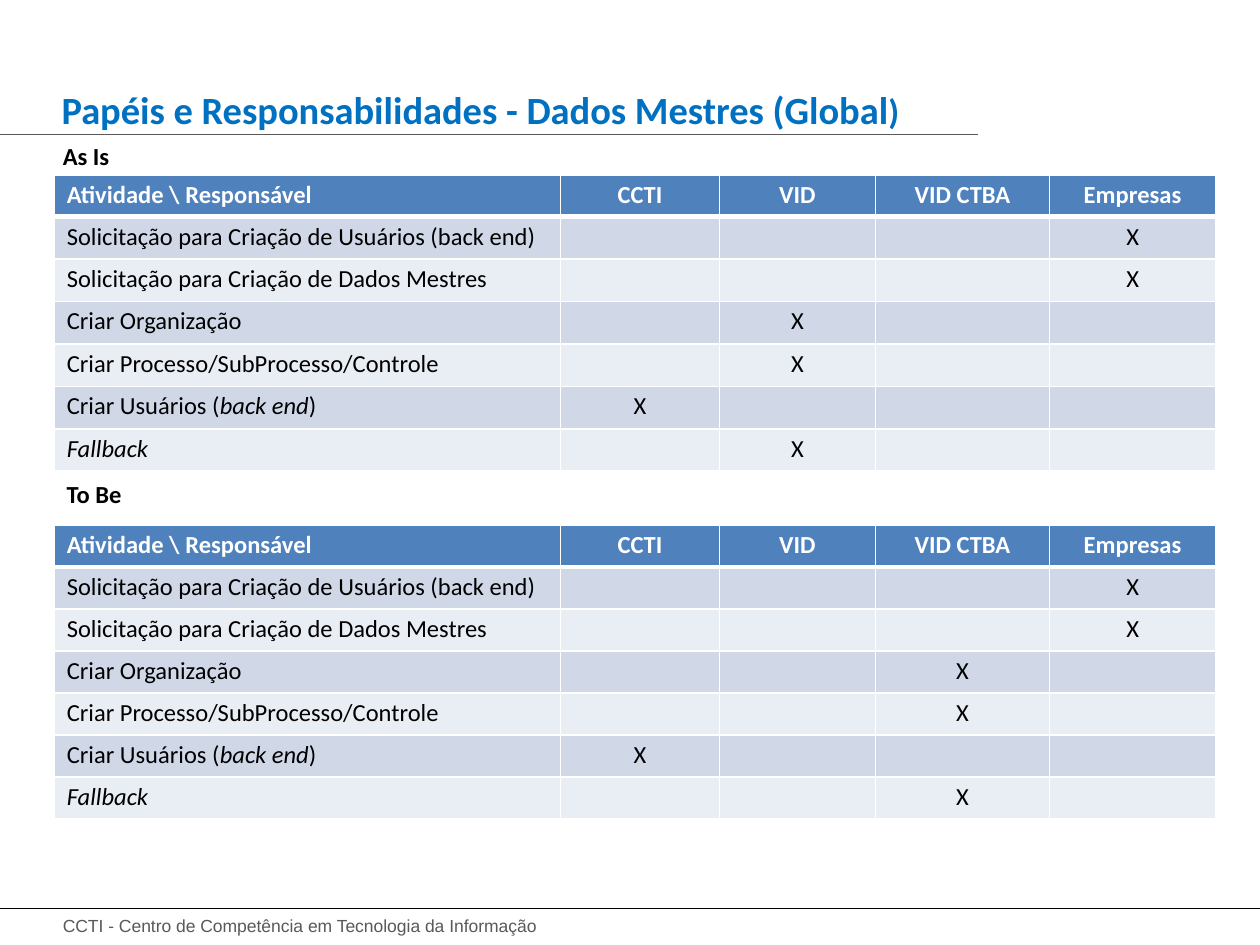
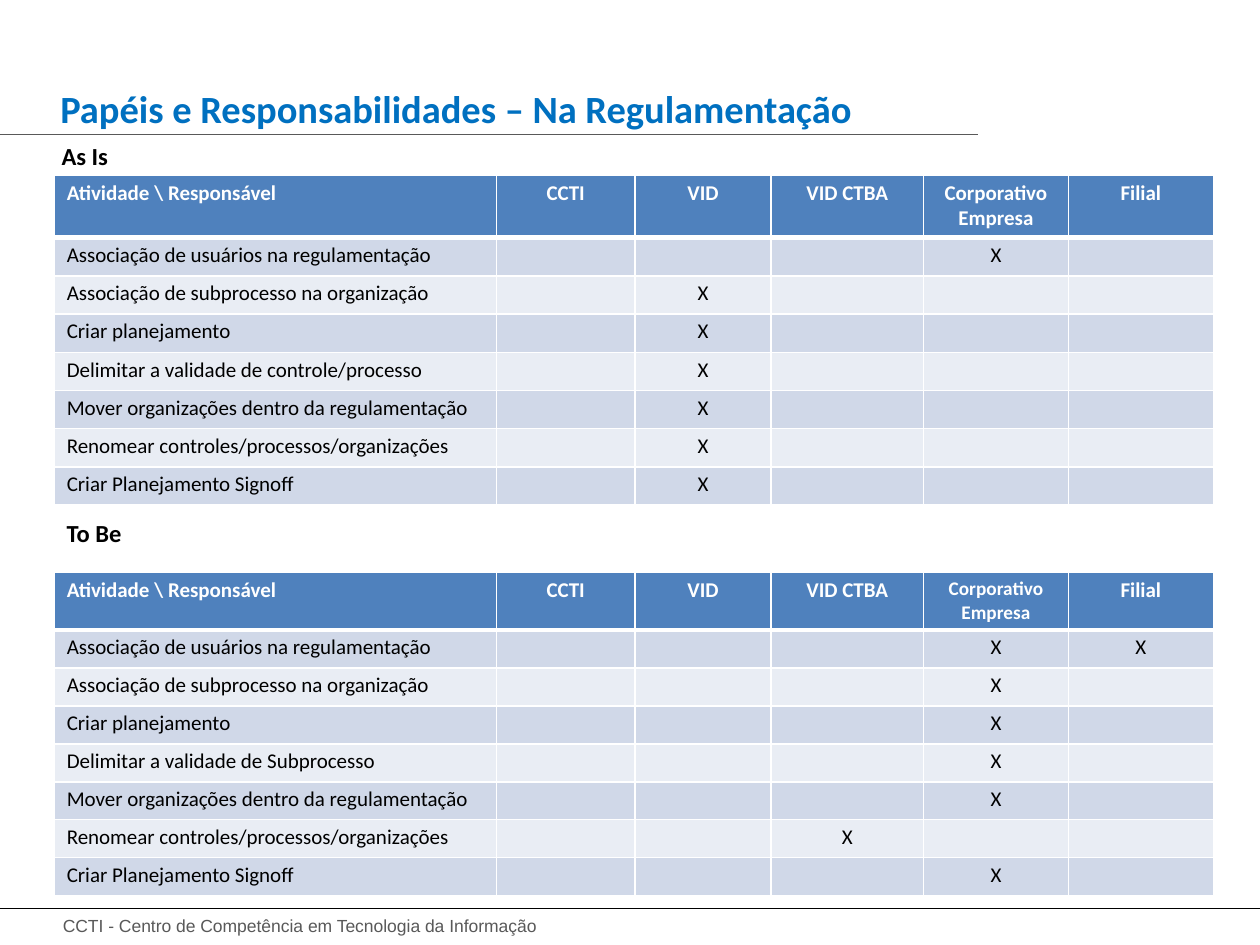
from collections import namedtuple

from lxml import etree
from pptx import Presentation
from pptx import util as u
from pptx.dml.color import RGBColor
from pptx.enum import shapes, text
from pptx.oxml.ns import qn

BLACK = RGBColor(0x00, 0x00, 0x00)
WHITE = RGBColor(0xFF, 0xFF, 0xFF)
GRAY = RGBColor(0x59, 0x59, 0x59)
TITLE_BLUE = RGBColor(0x00, 0x70, 0xC0)
HEADER_BLUE = RGBColor(0x4F, 0x81, 0xBD)
BANDS = (RGBColor(0xD0, 0xD8, 0xE8), RGBColor(0xE9, 0xED, 0xF4))

WIDTH, HEIGHT = u.Inches(10), u.Inches(7.5)
COLUMNS, ROWS = 100, 75

Box = namedtuple("Box", "left top width height")

TITLE = {"name": "Calibri", "size": u.Pt(22), "bold": True, "color": TITLE_BLUE}
LABEL = {"name": "Calibri", "size": u.Pt(14), "bold": True, "color": BLACK}
FOOTER = {"name": "Arial", "size": u.Pt(10), "bold": False, "color": GRAY}
HEADER = {"name": "Calibri", "bold": True, "color": WHITE}
BODY = {"name": "Calibri", "bold": False, "color": BLACK}

FOOTER_TEXT = "CCTI - Centro de Competência em Tecnologia da Informação"
CORNER = "Atividade \\ Responsável"

GLOBAL_PEOPLE = ["CCTI", "VID", "VID CTBA", "Empresas"]
GLOBAL_WIDTHS = [40.2, 12.6, 12.4, 13.8, 13.2]
GLOBAL_ACTIVITIES = [
    "Solicitação para Criação de Usuários (back end)",
    "Solicitação para Criação de Dados Mestres",
    "Criar Organização",
    "Criar Processo/SubProcesso/Controle",
    "Criar Usuários (*back end*)",
    "*Fallback*",
]

RULE_PEOPLE = ["CCTI", "VID", "VID CTBA", "Corporativo\nEmpresa", "Filial"]
RULE_WIDTHS = [35.1, 11, 10.8, 12.1, 11.5, 11.5]


def rule_activities(scope):
    return [
        "Associação de usuários na regulamentação",
        "Associação de subprocesso na organização",
        "Criar planejamento",
        f"Delimitar a validade de {scope}",
        "Mover organizações dentro da regulamentação",
        "Renomear controles/processos/organizações",
        "Criar Planejamento Signoff",
    ]


def across(columns):
    return round(WIDTH * columns / COLUMNS)


def down(rows):
    return round(HEIGHT * rows / ROWS)


def place(box):
    return across(box.left), down(box.top), across(box.width), down(box.height)


def add_run(paragraph, words, style, **changes):
    run = paragraph.add_run()
    run.text = words
    for key, value in {**style, **changes}.items():
        if key == "color":
            run.font.color.rgb = value
        else:
            setattr(run.font, key, value)


def add_text(slide, box, pieces, style, anchor=text.MSO_ANCHOR.TOP):
    frame = slide.shapes.add_textbox(*place(box)).text_frame
    frame.word_wrap = True
    frame.vertical_anchor = anchor
    for words, changes in pieces:
        add_run(frame.paragraphs[0], words, style, **changes)


def add_rule(slide, top, width, color, weight):
    rule = slide.shapes.add_connector(
        shapes.MSO_CONNECTOR.STRAIGHT, 0, down(top), across(width), down(top))
    rule.line.color.rgb = color
    rule.line.width = u.Pt(weight)
    etree.SubElement(rule._element.spPr, qn("a:effectLst"))


def add_frame(slide, title_box, title):
    add_rule(slide, 10.7, 77.6, GRAY, 0.5)
    add_text(slide, Box(4, 72.1, 49.2, 2.7), [(FOOTER_TEXT, {})], FOOTER)
    add_rule(slide, 72.1, COLUMNS, BLACK, 0.75)
    add_text(slide, title_box, title, TITLE, text.MSO_ANCHOR.MIDDLE)


def set_borders(cell, row):
    weights = {"L": 1, "R": 1, "T": 3 if row == 1 else 1, "B": 3 if row == 0 else 1}
    properties = cell._tc.get_or_add_tcPr()
    for side, weight in weights.items():
        line = etree.SubElement(properties, qn(f"a:ln{side}"), w=str(u.Pt(weight)))
        fill = etree.SubElement(line, qn("a:solidFill"))
        etree.SubElement(fill, qn("a:srgbClr"), val=str(WHITE))


def fill_cell(cell, words, row, column, size):
    cell.margin_top = cell.margin_bottom = u.Inches(0.04)
    set_borders(cell, row)
    cell.fill.solid()
    cell.fill.fore_color.rgb = BANDS[(row - 1) % 2] if row else HEADER_BLUE
    style = BODY if row else HEADER
    for index, line in enumerate(words.split("\n")):
        frame = cell.text_frame
        paragraph = frame.add_paragraph() if index else frame.paragraphs[0]
        if column:
            paragraph.alignment = text.PP_ALIGN.CENTER
        for part, piece in enumerate(line.split("*")):
            if piece:
                add_run(paragraph, piece, style, size=u.Pt(size), italic=part % 2 == 1)
        etree.SubElement(paragraph._p, qn("a:endParaRPr"), sz=str(size * 100))


def add_matrix(slide, box, people, widths, activities, marks, size, header_height,
               small_header=None):
    lines = [[CORNER, *people]]
    for activity, marked in zip(activities, marks):
        lines.append([activity] + ["X" if person.split("\n")[0] in marked else ""
                                   for person in people])
    table = slide.shapes.add_table(len(lines), len(widths), *place(box)).table
    for column, width in enumerate(widths):
        table.columns[column].width = across(width)
    body_height = (box.height - header_height) / len(activities)
    for row, line in enumerate(lines):
        table.rows[row].height = down(body_height if row else header_height)
        for column, words in enumerate(line):
            cell_size = small_header if small_header and "\n" in words else size
            fill_cell(table.cell(row, column), words, row, column, cell_size)


def add_section(slide, label, label_left, label_top, box, *matrix):
    add_text(slide, Box(label_left, label_top, 12.6, 3.4), [(label, {})], LABEL)
    add_matrix(slide, box, *matrix)


def build_global(slide):
    add_frame(slide, Box(3.9, 4.3, 69.2, 8.7), [
        ("Papéis e Responsabilidades - Dados Mestres (Global", {}),
        (")", {"size": u.Pt(20)}),
    ])
    shared = GLOBAL_PEOPLE, GLOBAL_WIDTHS, GLOBAL_ACTIVITIES
    as_is = [["Empresas"]] * 2 + [["VID"]] * 2 + [["CCTI"], ["VID"]]
    to_be = [["Empresas"]] * 2 + [["VID CTBA"]] * 2 + [["CCTI"], ["VID CTBA"]]
    add_section(slide, "As Is", 4, 10.7, Box(4.3, 13.9, 92.1, 23.5),
                *shared, as_is, 14, 3.3)
    add_section(slide, "To Be", 4.3, 37.5, Box(4.3, 41.7, 92.1, 23.3),
                *shared, to_be, 14, 3.3)


def build_regulation(slide):
    add_frame(slide, Box(3.8, 4.2, 69.2, 8.7), [
        ("Papéis e Responsabilidades – Na Regulamentação", {}),
    ])
    shared = RULE_PEOPLE, RULE_WIDTHS
    as_is = [["Corporativo"]] + [["VID"]] * 6
    to_be = ([["Corporativo", "Filial"]] + [["Corporativo"]] * 4
             + [["VID CTBA"], ["Corporativo"]])
    add_section(slide, "As Is", 3.9, 10.7, Box(4.3, 13.9, 92.1, 26.2),
                *shared, rule_activities("controle/processo"), as_is, 12, 4.95)
    add_section(slide, "To Be", 4.3, 40.6, Box(4.3, 45.4, 92.1, 25.7),
                *shared, rule_activities("Subprocesso"), to_be, 12, 4.6, 11)


def main():
    presentation = Presentation()
    presentation.slide_width, presentation.slide_height = WIDTH, HEIGHT
    for build in (build_global, build_regulation):
        build(presentation.slides.add_slide(presentation.slide_layouts[6]))
    presentation.save("out.pptx")


if __name__ == "__main__":
    main()
